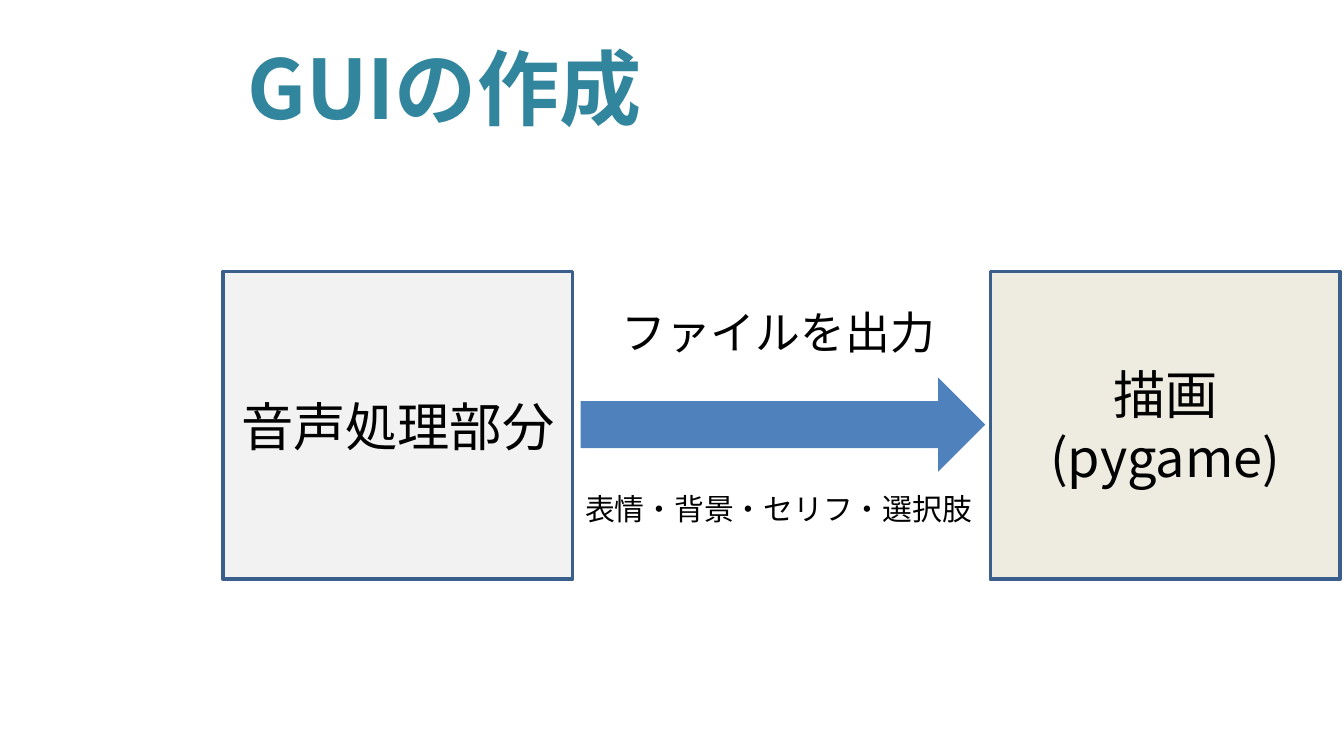
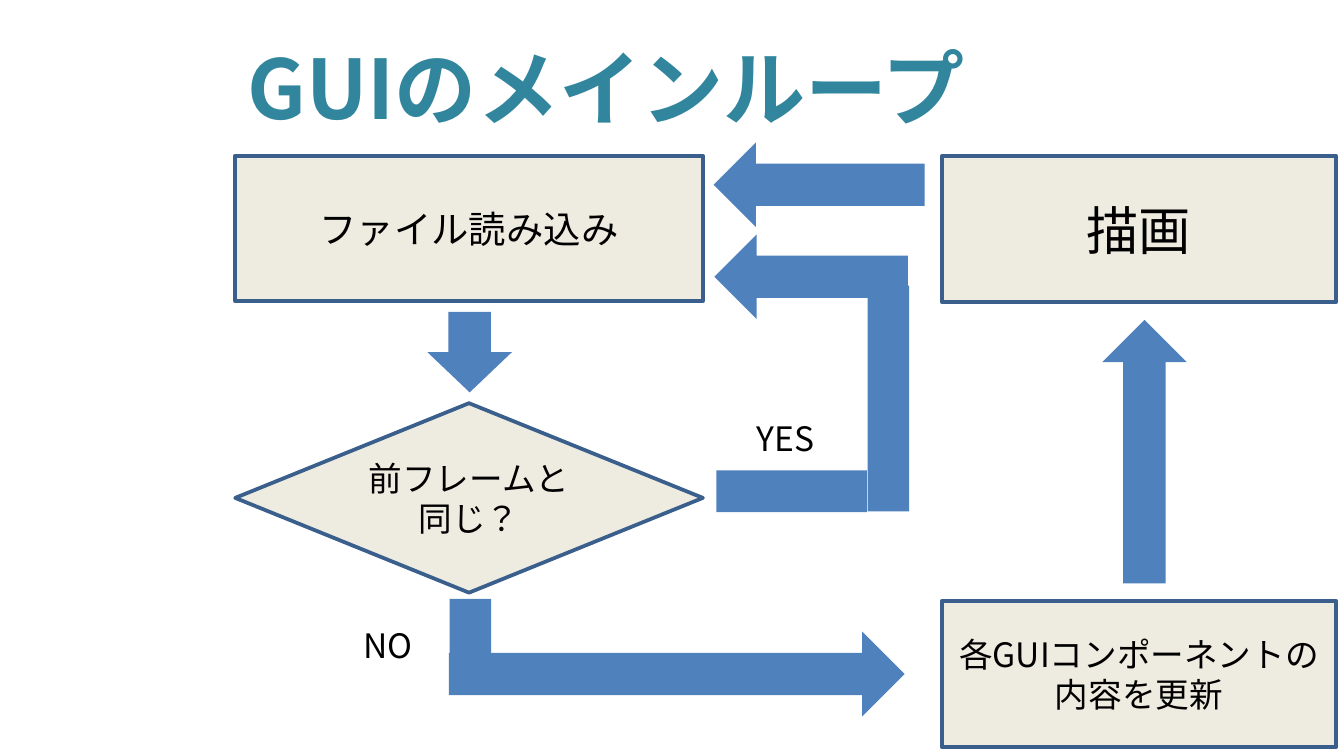
from lxml import etree
from pptx import Presentation
from pptx.dml.color import RGBColor
from pptx.enum import lang, shapes, text
from pptx.oxml import ns
from pptx.util import Inches, Pt

FONT = "Noto Sans CJK JP"
TEAL, BLACK = "31859C", "000000"
GREY, CREAM = "F2F2F2", "EEECE1"
BLUE, OUTLINE = "4F81BD", "3A5F8C"
SHAPE, ALIGN = shapes.MSO_SHAPE, text.PP_ALIGN
TITLE_BOX = (1.74, 0.16, 8.23, 0.97)
ARROW_WIDTH, BAR_WIDTH = 0.63, 0.31


def color(target, value):
    target.rgb = RGBColor.from_string(value)


def inches(box):
    return [Inches(value) for value in box]


def write(shape, words, size, ink=BLACK, bold=False, align=ALIGN.CENTER,
          anchor=text.MSO_ANCHOR.MIDDLE):
    """Fill a shape with one paragraph for each line of words."""
    frame = shape.text_frame
    frame.word_wrap = True
    frame.vertical_anchor = anchor
    frame.text = words
    for paragraph in frame.paragraphs:
        paragraph.alignment = align
        for run in paragraph.runs:
            run.font.name, run.font.size, run.font.bold = FONT, Pt(size), bold
            run.font.language_id = lang.MSO_LANGUAGE_ID.JAPANESE
            color(run.font.color, ink)
            # East Asian characters take their own typeface
            east_asian = etree.SubElement(run.font._element, ns.qn("a:ea"))
            east_asian.set("typeface", FONT)


def add_block(slide, kind, box, fill=BLUE, line=None, rotation=0):
    block = slide.shapes.add_shape(kind, *inches(box))
    block.shadow.inherit = False
    block.rotation = rotation
    block.fill.solid()
    color(block.fill.fore_color, fill)
    if line:
        color(block.line.color, line)
        block.line.width = Pt(2)
    else:
        block.line.fill.background()
    return block


def add_step(slide, words, box, size, fill=CREAM, kind=SHAPE.RECTANGLE):
    write(add_block(slide, kind, box, fill, OUTLINE), words, size)


def add_label(slide, words, box, size, align=ALIGN.CENTER):
    label = slide.shapes.add_textbox(*inches(box))
    write(label, words, size, align=align, anchor=text.MSO_ANCHOR.TOP)
    label.text_frame.auto_size = text.MSO_AUTO_SIZE.SHAPE_TO_FIT_TEXT


def add_titled_slide(deck, words):
    slide = deck.slides.add_slide(deck.slide_layouts[5])
    title = slide.shapes.title
    title.left, title.top, title.width, title.height = inches(TITLE_BOX)
    write(title, words, 44, ink=TEAL, bold=True, align=ALIGN.LEFT)
    return slide


def draw_file_handover(slide, box):
    """Speech part on the left hands files to the drawing part."""
    left, top, width, height = box
    step_width = 2.6
    add_step(slide, "音声処理部分", (left, top, step_width, height), 28, GREY)
    add_block(slide, SHAPE.RIGHT_ARROW, (left + 2.66, top + 0.79, 3.01, 0.7))
    add_label(slide, "ファイルを出力", (left + 2.74, top + 0.2, 2.78, 0.5), 24)
    add_label(slide, "表情・背景・セリフ・選択肢",
              (left + 2.39, top + 1.58, 3.49, 0.37), 16)
    add_step(slide, "描画\n(pygame)",
             (left + width - step_width, top, step_width, height), 28)


def draw_main_loop(slide, box):
    """Read, compare, update and draw, with arrows back to reading."""
    left, top, width, height = box
    read_width, draw_width, step_height = 3.48, 2.93, 1.09
    draw_left = left + width - draw_width

    # Reading and comparison
    add_step(slide, "ファイル読み込み", (left, top, read_width, 1.08), 20)
    add_step(slide, "前フレームと\n同じ？",
             (left, top + 1.84, read_width, 1.41), 18, kind=SHAPE.DIAMOND)
    add_label(slide, "NO", (left + 0.81, top + 3.44, 0.65, 0.4), 18)

    # Update and drawing
    add_step(slide, "各GUIコンポーネントの内容を更新",
             (draw_left, top + height - step_height, draw_width, step_height), 18)
    add_step(slide, "描画", (draw_left, top, draw_width, step_height), 28)
    add_label(slide, "YES", (left + 3.78, top + 1.9, 0.76, 0.4), 18, ALIGN.LEFT)

    # Plain stretches of the bent arrows: x, y, length, rotation
    for x, y, length, rotation in [
        (1.4, 3.49, 0.7, 270),     # NO, down
        (4.02, 1.65, 1.68, 270),   # YES, up
        (3.58, 2.34, 1.12, 180),   # YES, right
    ]:
        add_block(slide, SHAPE.RECTANGLE, (left + x, top + y, length, BAR_WIDTH),
                  rotation=rotation)

    # Arrows: x, y, length, rotation
    for x, y, length, rotation in [
        (4.03, -0.57, 1.57, 90),   # draw to read
        (1.43, 1.16, 0.6, 0),      # read to compare
        (3.97, 0.18, 1.44, 90),    # YES to read
        (6.45, 1.22, 1.96, 180),   # update to draw
        (2.97, 2.16, 3.39, 270),   # NO to update
    ]:
        add_block(slide, SHAPE.DOWN_ARROW, (left + x, top + y, ARROW_WIDTH, length),
                  rotation=rotation)


def main():
    deck = Presentation()
    # Widescreen, 16 to 9
    deck.slide_width = Inches(10)
    deck.slide_height = deck.slide_width * 9 // 16
    draw_file_handover(add_titled_slide(deck, "GUIの作成"), (1.66, 2.02, 8.31, 2.29))
    draw_main_loop(add_titled_slide(deck, "GUIのメインループ"), (1.75, 1.16, 8.19, 4.4))
    deck.save("out.pptx")


if __name__ == "__main__":
    main()
